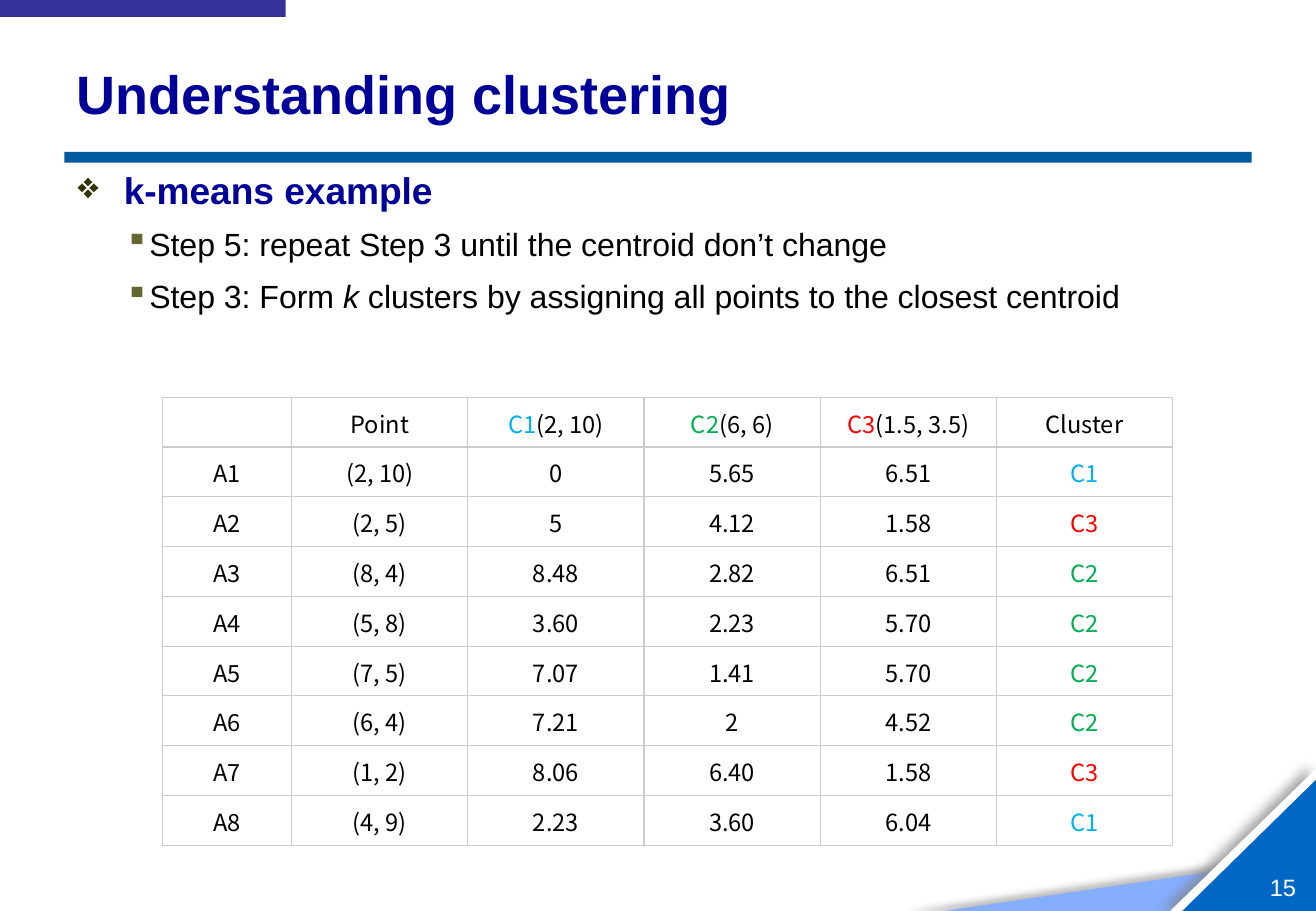
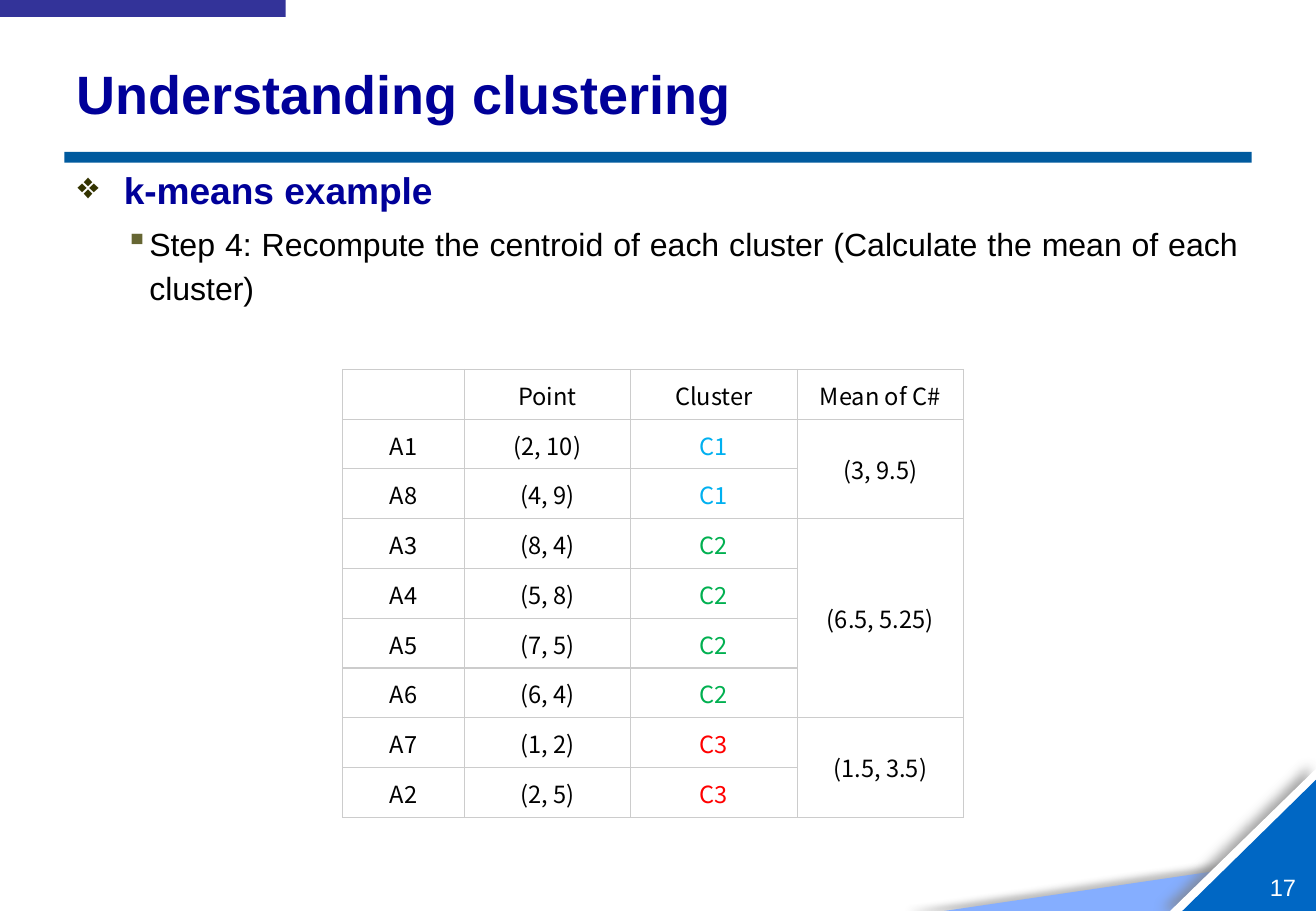
from dataclasses import dataclass
from typing import Optional

import pptx
import pptx.dml.color
import pptx.enum.shapes
import pptx.enum.text
import pptx.oxml
import pptx.oxml.ns
import pptx.util

Inches = pptx.util.Inches
Pt = pptx.util.Pt
RGBColor = pptx.dml.color.RGBColor
Shape = pptx.enum.shapes.MSO_SHAPE
Align = pptx.enum.text.PP_ALIGN
Anchor = pptx.enum.text.MSO_ANCHOR
NS = pptx.oxml.ns.nsdecls("a")

# Colours and fonts
WHITE = RGBColor(0xFF, 0xFF, 0xFF)
INK = RGBColor(0x00, 0x00, 0x00)
NAVY = RGBColor(0x00, 0x00, 0x99)
VIOLET = RGBColor(0x33, 0x33, 0x99)
RULE = RGBColor(0x00, 0x5A, 0x9E)
SKY = RGBColor(0x85, 0xAE, 0xFF)
BLUE = RGBColor(0x00, 0x67, 0xC4)
OLIVE = RGBColor(0x33, 0x33, 0x00)
MOSS = RGBColor(0x66, 0x66, 0x33)
GRID = RGBColor(0xCC, 0xCC, 0xCC)
DARK = RGBColor(0x59, 0x59, 0x59)
GREY = RGBColor(0x80, 0x80, 0x80)
HUES = {
    "C1": RGBColor(0x00, 0xB0, 0xF0),
    "C2": RGBColor(0x00, 0xB0, 0x50),
    "C3": RGBColor(0xFF, 0x00, 0x00),
}
SANS = "Arial"
NOTO = "Noto Sans CJK KR"


@dataclass
class Shade:
    color: RGBColor
    alpha: int
    blur: float
    dist: float
    angle: int


@dataclass
class Block:
    kind: Shape
    box: tuple
    color: RGBColor
    shade: Optional[Shade] = None


@dataclass
class Level:
    size: float
    color: RGBColor
    bold: bool
    mark: str
    tint: RGBColor
    left: float
    hang: float
    line: float
    after: float


@dataclass
class Grid:
    left: float
    top: float
    first: float
    rest: float
    rows: list
    spans: tuple = ()


@dataclass
class Page:
    number: int
    steps: list
    grid: Grid


# Shared frame
TRI = Shape.RIGHT_TRIANGLE
FRAME = [
    Block(TRI, (7.77, 7.05, 3.06, 0.45), SKY, Shade(DARK, 40, 4, 22, 180)),
    Block(TRI, (9.63, 6.32, 1.21, 1.18), WHITE, Shade(GREY, 69, 7, 5, 190)),
    Block(TRI, (9.73, 6.42, 1.1, 1.08), BLUE),
    Block(Shape.RECTANGLE, (0, 0, 2.35, 0.14), VIOLET),
    Block(Shape.RECTANGLE, (0.53, 1.25, 9.77, 0.09), RULE),
]
HEAD = Level(22, NAVY, True, "❖", OLIVE, 0.38, 0.38, 1, 0)
STEP = Level(19, INK, False, "▪", MOSS, 0.59, 0.2, 1.15, 1)

# Cluster data: point, distances to the three centroids, cluster
DATA = {
    "A1": ["(2, 10)", "0", "5.65", "6.51", "C1"],
    "A2": ["(2, 5)", "5", "4.12", "1.58", "C3"],
    "A3": ["(8, 4)", "8.48", "2.82", "6.51", "C2"],
    "A4": ["(5, 8)", "3.60", "2.23", "5.70", "C2"],
    "A5": ["(7, 5)", "7.07", "1.41", "5.70", "C2"],
    "A6": ["(6, 4)", "7.21", "2", "4.52", "C2"],
    "A7": ["(1, 2)", "8.06", "6.40", "1.58", "C3"],
    "A8": ["(4, 9)", "2.23", "3.60", "6.04", "C1"],
}
ORDER = ["A1", "A8", "A3", "A4", "A5", "A6", "A7", "A2"]
MEANS = {"A1": "(3, 9.5)", "A3": "(6.5, 5.25)", "A7": "(1.5, 3.5)"}

DISTS = Grid(
    1.34, 3.27, 1.06, 1.45,
    [["", "Point", "C1(2, 10)", "C2(6, 6)", "C3(1.5, 3.5)", "Cluster"]]
    + [[name, *vals] for name, vals in DATA.items()],
)
GROUPS = Grid(
    2.82, 3.04, 1, 1.37,
    [["", "Point", "Cluster", "Mean of C#"]]
    + [[name, DATA[name][0], DATA[name][-1], MEANS.get(name, "")]
       for name in ORDER],
    ((1, 2), (3, 6), (7, 8)),
)

# Each step is a list of (text, italic) runs
PAGES = [
    Page(15, [
        [("Step 5: repeat Step 3 until the centroid don’t change", False)],
        [("Step 3: Form ", False), ("k", True),
         (" clusters by assigning all points to the closest centroid", False)],
    ], DISTS),
    Page(17, [
        [("Step 4: Recompute the centroid of each cluster "
          "(Calculate the mean of each cluster)", False)],
    ], GROUPS),
]


def style(para, size: float, color: RGBColor, bold: bool = False,
          face: str = SANS) -> None:
    font = para.font
    font.name, font.size, font.bold = face, Pt(size), bold
    font.color.rgb = color


def block(slide, item: Block) -> None:
    shape = slide.shapes.add_shape(item.kind, *map(Inches, item.box))
    shape.shadow.inherit = False
    shape.fill.solid()
    shape.fill.fore_color.rgb = item.color
    shape.line.fill.background()
    props = shape.element.spPr
    if item.kind == TRI:
        props.xfrm.set("flipH", "1")
    if item.shade:
        cast = item.shade
        glow = pptx.oxml.parse_xml(
            f'<a:outerShdw {NS} blurRad="{Pt(cast.blur)}" '
            f'dist="{Pt(cast.dist)}" dir="{cast.angle * 60000}" '
            f'algn="ctr" rotWithShape="0"><a:srgbClr val="{cast.color}">'
            f'<a:alpha val="{cast.alpha * 1000}"/></a:srgbClr></a:outerShdw>')
        props.find(pptx.oxml.ns.qn("a:effectLst")).append(glow)


def label(slide, box: tuple, anchor: Anchor, wrap: bool = True):
    frame = slide.shapes.add_textbox(*map(Inches, box)).text_frame
    frame.word_wrap = wrap
    frame.vertical_anchor = anchor
    return frame


def bullet(para, runs: list, level: Level) -> None:
    for text, slant in runs:
        run = para.add_run()
        run.text = text
        if slant:
            run.font.italic = True
    para.alignment = Align.JUSTIFY
    para.line_spacing = level.line
    para.space_before = Pt(level.size * 0.2)
    para.space_after = Pt(level.after)
    props = para._p.get_or_add_pPr()
    props.set("marL", str(Inches(level.left)))
    props.set("indent", str(-Inches(level.hang)))
    for part in (f'<a:buClr {NS}><a:srgbClr val="{level.tint}"/></a:buClr>',
                 f'<a:buChar {NS} char="{level.mark}"/>'):
        props.append(pptx.oxml.parse_xml(part))
    style(para, level.size, level.color, level.bold)


def fill(cell, text: str) -> None:
    props = cell._tc.get_or_add_tcPr()
    for side in "LRTB":
        props.append(pptx.oxml.parse_xml(
            f'<a:ln{side} {NS} w="{Pt(0.75)}"><a:solidFill>'
            f'<a:srgbClr val="{GRID}"/></a:solidFill></a:ln{side}>'))
    cell.fill.background()
    cell.vertical_anchor = Anchor.MIDDLE
    cell.margin_left = cell.margin_right = Inches(0.07)
    cell.margin_top = cell.margin_bottom = Inches(0.07)
    para = cell.text_frame.paragraphs[0]
    para.alignment = Align.CENTER
    style(para, 14, HUES.get(text, INK), face=NOTO)
    mixed = text[:2] in HUES and len(text) > 2
    for part in (text[:2], text[2:]) if mixed else (text,):
        if part:
            run = para.add_run()
            run.text = part
            if mixed and part in HUES:
                run.font.color.rgb = HUES[part]


def table(slide, grid: Grid) -> None:
    rows, cols = len(grid.rows), len(grid.rows[0])
    tall = 0.41
    wide = grid.first + grid.rest * (cols - 1)
    sheet = slide.shapes.add_table(
        rows, cols, Inches(grid.left), Inches(grid.top),
        Inches(wide), Inches(tall * rows)).table
    sheet.first_row = sheet.horz_banding = False
    for col, column in enumerate(sheet.columns):
        column.width = Inches(grid.rest if col else grid.first)
    for row, texts in enumerate(grid.rows):
        sheet.rows[row].height = Inches(tall)
        for col, text in enumerate(texts):
            fill(sheet.cell(row, col), text)
    for top, end in grid.spans:
        sheet.cell(top, cols - 1).merge(sheet.cell(end, cols - 1))


def build(deck, page: Page) -> None:
    slide = deck.slides.add_slide(deck.slide_layouts[6])
    for item in FRAME:
        block(slide, item)

    # Page number
    frame = label(slide, (10.45, 7.18, 0.25, 0.24), Anchor.MIDDLE, False)
    frame.margin_left = frame.margin_right = 0
    frame.margin_top = frame.margin_bottom = 0
    frame.text = str(page.number)
    style(frame.paragraphs[0], 14, WHITE)

    # Title
    frame = label(slide, (0.53, 0.35, 9.77, 0.83), Anchor.MIDDLE)
    frame.text = "Understanding clustering"
    style(frame.paragraphs[0], 32, NAVY, True)

    # Body
    frame = label(slide, (0.54, 1.33, 9.75, 5.4), Anchor.TOP)
    bullet(frame.paragraphs[0], [("k-means example", False)], HEAD)
    for runs in page.steps:
        bullet(frame.add_paragraph(), runs, STEP)

    table(slide, page.grid)


def main() -> None:
    deck = pptx.Presentation()
    deck.slide_width, deck.slide_height = Inches(10.83), Inches(7.5)
    for page in PAGES:
        build(deck, page)
    deck.save("out.pptx")


if __name__ == "__main__":
    main()
